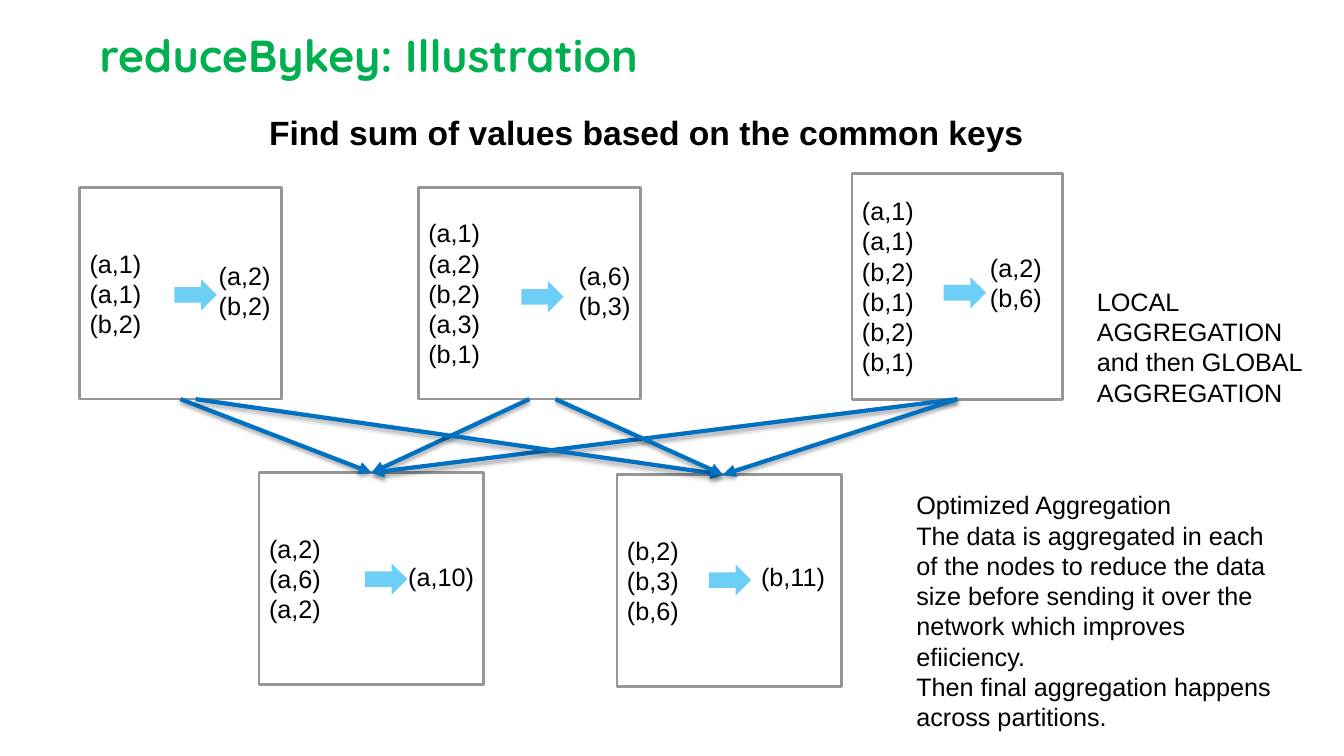
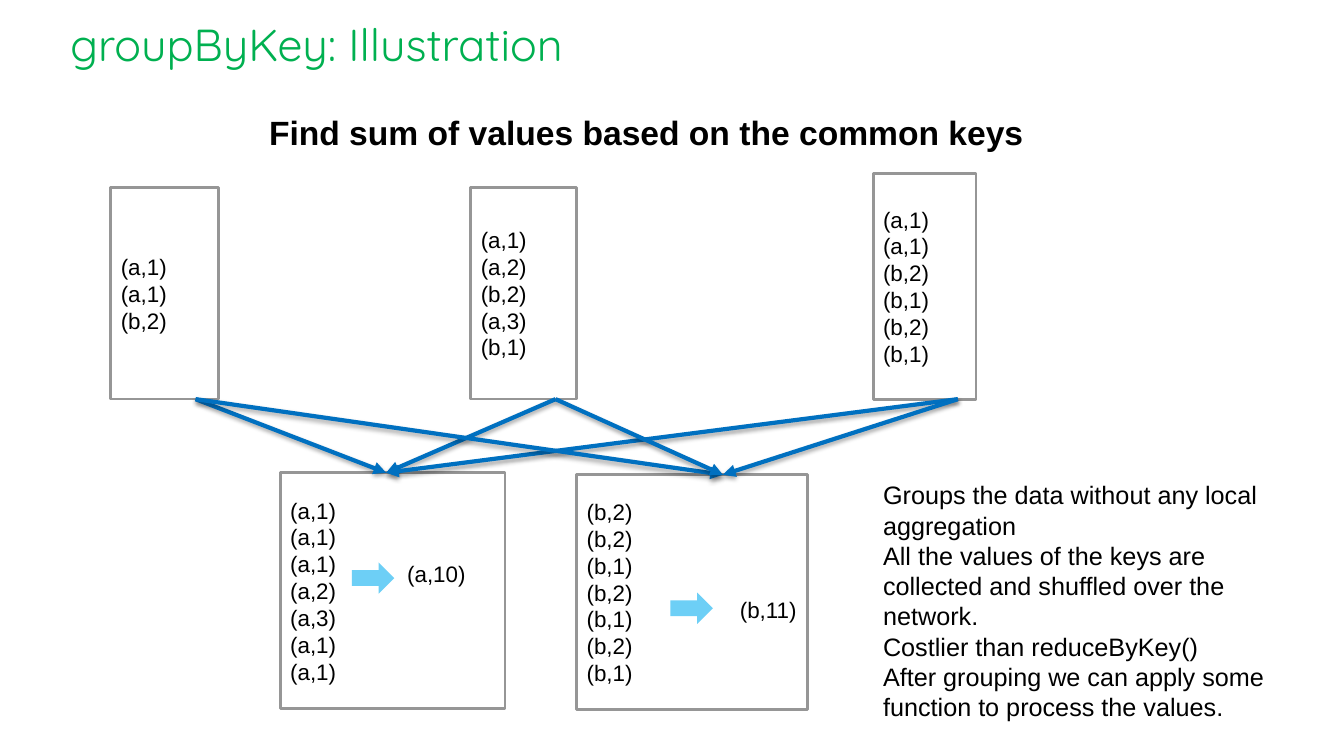
from pptx import Presentation
from pptx.dml.color import RGBColor
from pptx.enum.shapes import MSO_CONNECTOR, MSO_SHAPE
from pptx.enum.text import MSO_ANCHOR, MSO_AUTO_SIZE, PP_ALIGN
from pptx.oxml import parse_xml
from pptx.oxml.ns import nsdecls
from pptx.util import Inches, Pt

GREEN, BLACK, WHITE = "00B050", "000000", "FFFFFF"
GREY, SKY, BLUE = "969696", "6DCFF6", "0070C0"
TOP, BOTTOM = 0, 2
SUBTITLE = "Find sum of values based on the common keys"
FIRST_NODE = ["(a,1)", "(a,1)", "(b,2)"]
SECOND_NODE = ["(a,1)", "(a,2)", "(b,2)", "(a,3)", "(b,1)"]
THIRD_NODE = ["(a,1)", "(a,1)", "(b,2)", "(b,1)", "(b,2)", "(b,1)"]


def color(code):
    return RGBColor.from_string(code)


def write(frame, paragraphs, size=18, font="Arial", ink=BLACK, bold=False,
          anchor=MSO_ANCHOR.TOP, wrap=True):
    frame.word_wrap = wrap
    frame.vertical_anchor = anchor
    for index, content in enumerate(paragraphs):
        paragraph = frame.paragraphs[0] if index == 0 else frame.add_paragraph()
        paragraph.alignment = PP_ALIGN.LEFT
        run = paragraph.add_run()
        run.text = content
        run.font.size = Pt(size)
        run.font.name = font
        run.font.bold = bold
        run.font.color.rgb = color(ink)


class Deck:
    def __init__(self):
        self.presentation = Presentation()
        self.presentation.slide_width = Inches(13.33)
        self.presentation.slide_height = Inches(7.5)
        self.slide = None
        self.pair_size = 18

    def start(self, title, left, top, bold, pair_size):
        blank = self.presentation.slide_layouts[6]
        self.slide = self.presentation.slides.add_slide(blank)
        self.pair_size = pair_size
        frame = self.frame(left, top, 11.5, 0.62)
        frame.margin_left = frame.margin_right = Inches(0.1)
        frame.margin_top = frame.margin_bottom = Inches(0.1)
        write(frame, [title], size=32, font="Quicksand", ink=GREEN, bold=bold,
              anchor=MSO_ANCHOR.BOTTOM)
        self.text([SUBTITLE], 2.57, 1.06, 7.75, 0.5, size=24, bold=True, wrap=False)

    def frame(self, left, top, width, height):
        return self.slide.shapes.add_textbox(
            Inches(left), Inches(top), Inches(width), Inches(height)).text_frame

    def text(self, paragraphs, left, top, width, height, **style):
        frame = self.frame(left, top, width, height)
        write(frame, paragraphs, **style)
        frame.auto_size = MSO_AUTO_SIZE.SHAPE_TO_FIT_TEXT

    def shape(self, preset, left, top, width, height, fill):
        shape = self.slide.shapes.add_shape(
            preset, Inches(left), Inches(top), Inches(width), Inches(height))
        shape.shadow.inherit = False
        shape.fill.solid()
        shape.fill.fore_color.rgb = color(fill)
        shape.line.fill.background()
        return shape

    def partition(self, pairs, left, top, width, height):
        box = self.shape(MSO_SHAPE.RECTANGLE, left, top, width, height, WHITE)
        box.line.color.rgb = color(GREY)
        box.line.width = Pt(2)
        write(box.text_frame, pairs, size=self.pair_size, anchor=MSO_ANCHOR.MIDDLE)
        return box

    def reduction(self, totals, arrow_at, totals_at, width):
        self.shape(MSO_SHAPE.RIGHT_ARROW, *arrow_at, 0.42, 0.31, SKY)
        height = 0.1 + len(totals) * self.pair_size / 59
        self.text(totals, *totals_at, width, height, size=self.pair_size, wrap=False)

    def shuffle(self, source, source_x, target, target_x):
        start, end = Inches(source_x), Inches(target_x)
        link = self.slide.shapes.add_connector(
            MSO_CONNECTOR.STRAIGHT, start, source.top + source.height, end, target.top)
        if abs(source.left + source.width / 2 - start) < Inches(0.02):
            link.begin_connect(source, BOTTOM)
        if abs(target.left + target.width / 2 - end) < Inches(0.02):
            link.end_connect(target, TOP)
        link.line.color.rgb = color(BLUE)
        link.line.width = Pt(3)
        link.line._get_or_add_ln().append(
            parse_xml(f'<a:tailEnd {nsdecls("a")} type="triangle"/>'))
        link._element.spPr.append(parse_xml(
            f'<a:effectLst {nsdecls("a")}>'
            '<a:outerShdw blurRad="40000" dist="23000" dir="5400000" rotWithShape="0">'
            f'<a:srgbClr val="{BLACK}"><a:alpha val="35000"/></a:srgbClr>'
            '</a:outerShdw></a:effectLst>'))

    def shuffles(self, sources, routes):
        for target, target_x, starts in routes:
            for source, source_x in zip(sources, starts):
                self.shuffle(source, source_x, target, target_x)


def reduce_by_key(deck):
    deck.start("reduceBykey: Illustration", 0.89, 0.29, bold=True, pair_size=18)
    nodes = [
        deck.partition(FIRST_NODE, 0.79, 1.86, 2, 2.1),
        deck.partition(SECOND_NODE, 4.15, 1.86, 2.2, 2.1),
        deck.partition(THIRD_NODE, 8.45, 1.72, 2.09, 2.24),
    ]
    a_keys = deck.partition(["(a,2)", "(a,6)", "(a,2)"], 2.57, 4.69, 2.23, 2.1)
    b_keys = deck.partition(["(b,2)", "(b,3)", "(b,6)"], 6.12, 4.71, 2.23, 2.1)
    for totals, arrow_at, totals_at, width in [
        (["(a,2)", "(b,2)"], (1.73, 2.77), (2.07, 2.53), 0.72),
        (["(a,6)", "(b,3)"], (5.17, 2.79), (5.64, 2.53), 0.72),
        (["(a,2)", "(b,6)"], (9.36, 2.75), (9.72, 2.45), 0.72),
        (["(a,10)"], (3.62, 5.59), (3.95, 5.52), 0.86),
        (["(b,11)"], (7.03, 5.6), (7.45, 5.52), 0.84),
    ]:
        deck.reduction(totals, arrow_at, totals_at, width)
    deck.shuffles(nodes, [(a_keys, 3.69, (1.79, 5.25, 9.5)),
                          (b_keys, 7.17, (1.94, 5.51, 9.5))])
    deck.text([
        "Optimized Aggregation",
        "The data is aggregated in each of the nodes to reduce the data size "
        "before sending it over the network which improves efiiciency.",
        "Then final aggregation happens across partitions.",
    ], 8.99, 4.81, 3.83, 2.52)
    deck.text(["LOCAL AGGREGATION and then GLOBAL AGGREGATION"],
              10.78, 2.79, 2.42, 1.31)


def group_by_key(deck):
    deck.start("groupByKey: Illustration", 0.6, 0.18, bold=False, pair_size=16)
    nodes = [
        deck.partition(FIRST_NODE, 1.1, 1.86, 1.07, 2.1),
        deck.partition(SECOND_NODE, 4.67, 1.86, 1.05, 2.1),
        deck.partition(THIRD_NODE, 8.66, 1.72, 1.02, 2.24),
    ]
    a_keys = deck.partition(
        ["(a,1)", "(a,1)", "(a,1)", "(a,2)", "(a,3)", "(a,1)", "(a,1)"],
        2.78, 4.69, 2.23, 2.34)
    b_keys = deck.partition(
        ["(b,2)", "(b,2)", "(b,1)", "(b,2)", "(b,1)", "(b,2)", "(b,1)"],
        5.72, 4.71, 2.29, 2.33)
    deck.reduction(["(a,10)"], (3.49, 5.58), (3.94, 5.51), 0.79)
    deck.reduction(["(b,11)"], (6.65, 5.88), (7.24, 5.86), 0.77)
    starts = (1.94, 5.51, 9.5)
    deck.shuffles(nodes, [(a_keys, 3.83, starts), (b_keys, 7.17, starts)])
    deck.text([
        "Groups the data without any local aggregation",
        "All the values of the keys are collected and shuffled over the network.",
        "Costlier than reduceByKey()",
        "After grouping we can apply some function to process the values.",
    ], 8.66, 4.71, 4.25, 2.52)


def main():
    deck = Deck()
    reduce_by_key(deck)
    group_by_key(deck)
    deck.presentation.save("out.pptx")


if __name__ == "__main__":
    main()
